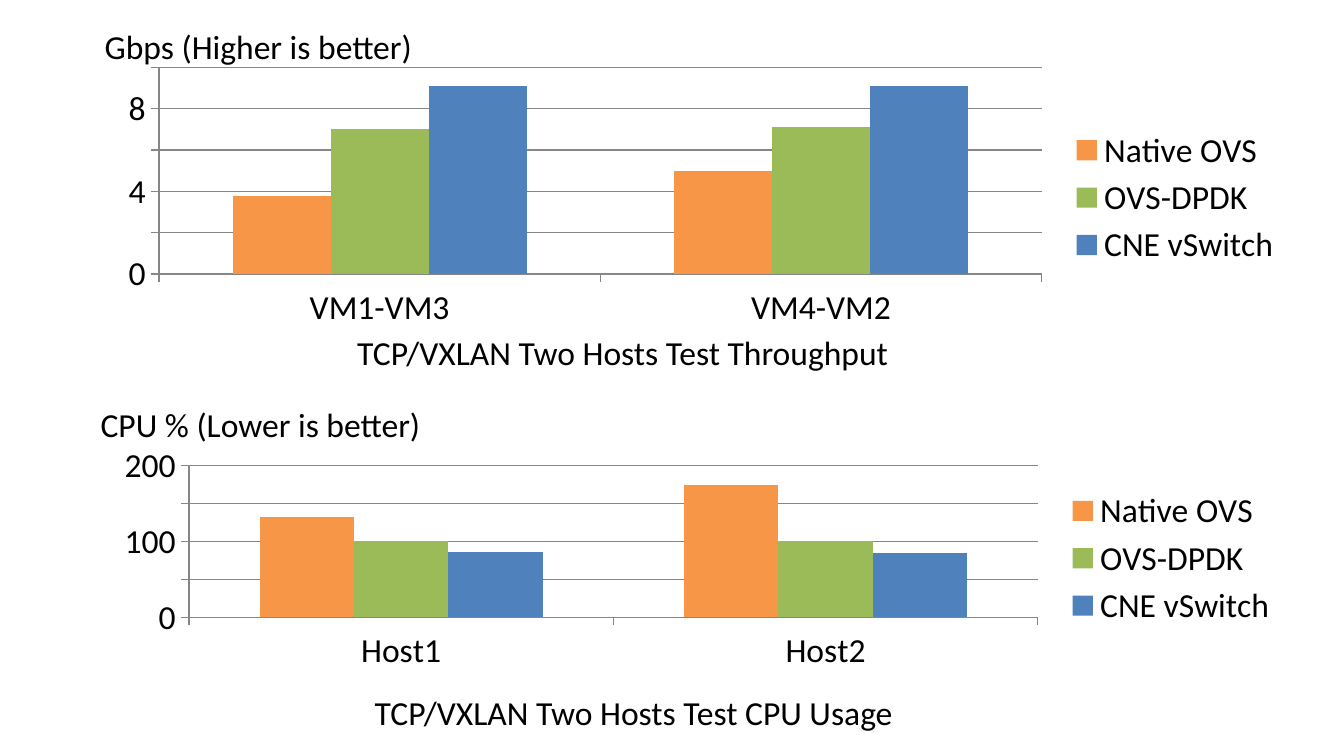
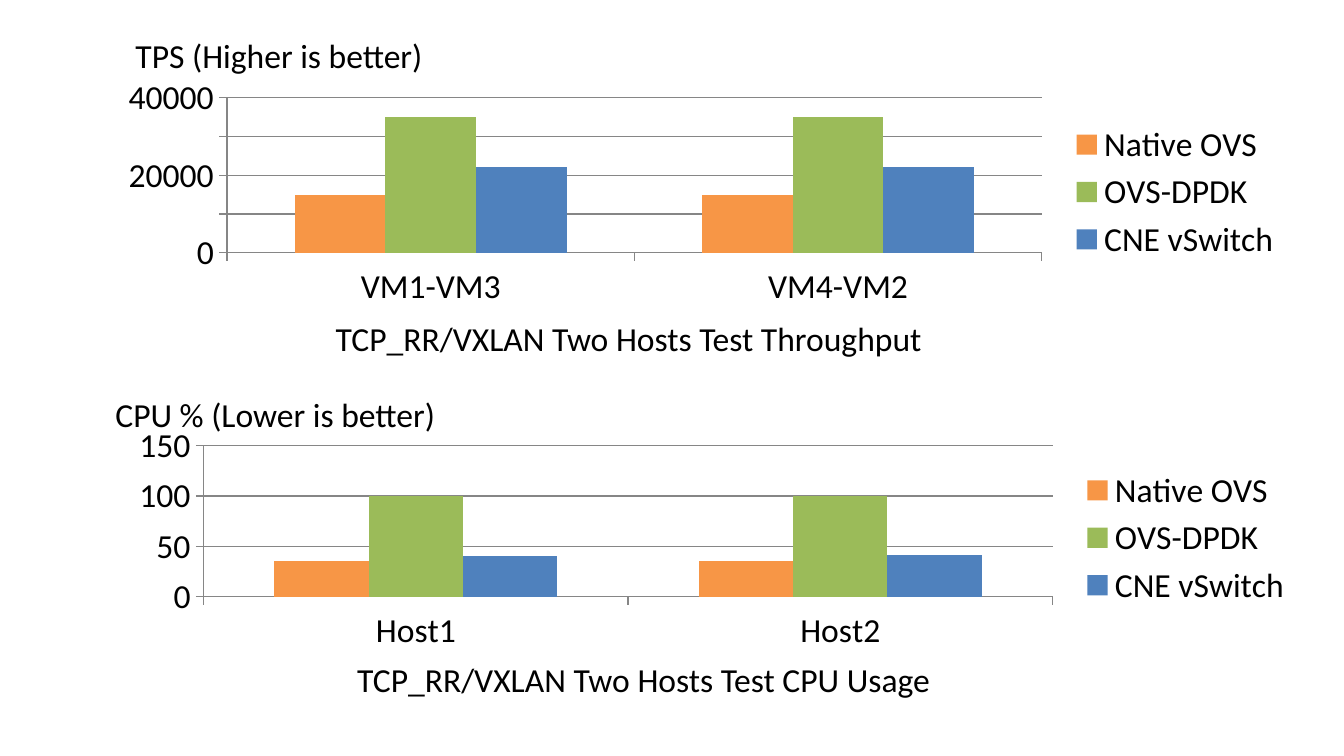
from dataclasses import dataclass

from lxml import etree
from pptx import Presentation
from pptx.chart.data import CategoryChartData
from pptx.dml.color import RGBColor
from pptx.enum.chart import XL_CHART_TYPE as ChartType
from pptx.enum.chart import XL_LEGEND_POSITION as LegendPosition
from pptx.enum.chart import XL_TICK_MARK as TickMark
from pptx.enum.text import MSO_AUTO_SIZE as AutoSize
from pptx.util import Inches, Pt

SLIDE_WIDTH, SLIDE_HEIGHT = Inches(10), Inches(5.625)
COLUMN, ROW = SLIDE_WIDTH / 100, SLIDE_HEIGHT / 100
FONT, FONT_SIZE = "Calibri", Pt(18)
COLORS = {
    "text": "000000",
    "axis": "868686",
    "background": "FFFFFF",
    "Native OVS": "F79646",
    "OVS-DPDK": "9BBB59",
    "CNE vSwitch": "4F81BD",
}
SWITCHES = ("Native OVS", "OVS-DPDK", "CNE vSwitch")
VM_PAIRS = ("VM1-VM3", "VM4-VM2")
HOSTS = ("Host1", "Host2")
CHART_COLUMNS = 88.6
LABEL_ROWS = 7.1
UNIT_SHIFT = -2.7


@dataclass
class Panel:
    """A chart with its unit above and caption below, in grid columns and rows.

    unit_rise is measured up from the chart's top; caption_shift is the
    caption's offset from the chart's bottom left corner.
    """
    box: tuple
    unit: str
    unit_columns: float
    unit_indent: float
    unit_rise: float
    caption: str
    caption_columns: float
    caption_shift: tuple
    categories: tuple
    values: tuple
    maximum: float
    step: float


SLIDES = (
    (
        Panel((7.8, 8.2, 35.9), "Gbps (Higher is better)", 26.9, 1.7, 5.7,
              "TCP/VXLAN Two Hosts Test Throughput", 42.6, (17.8, -1.1),
              VM_PAIRS, ((3.8, 5), (7, 7.1), (9.1, 9.1)), 10, 2),
        Panel((7.5, 58.3, 31.1), "CPU % (Lower is better)", 27.8, 1.7, 5.7,
              "TCP/VXLAN Two Hosts Test CPU Usage", 41.6, (19.4, 1.2),
              HOSTS, ((132, 175), (100, 100), (86, 85)), 200, 50),
    ),
    (
        Panel((7.8, 9.6, 31.6), "TPS (Higher is better)", 27.6, 4, 5.9,
              "TCP_RR/VXLAN Two Hosts Test Throughput", 46.6, (16.2, 0),
              VM_PAIRS,
              ((15000, 15000), (35000, 35000), (22000, 22000)), 40000, 10000),
        Panel((8.6, 55.6, 31.1), "CPU % (Lower is better)", 27.8, 1.7, 4.4,
              "TCP_RR/VXLAN Two Hosts Test CPU Usage", 45.6, (17, -0.4),
              HOSTS, ((35, 35), (100, 100), (40, 41)), 150, 50),
    ),
)


def color(name):
    return RGBColor.from_string(COLORS[name])


def grid_box(left, top, columns, rows):
    """Turn grid columns and rows into slide lengths."""
    return (round(left * COLUMN), round(top * ROW),
            round(columns * COLUMN), round(rows * ROW))


def style_font(font):
    font.name = FONT
    font.size = FONT_SIZE
    font.bold = False
    font.color.rgb = color("text")


def style_line(line):
    line.color.rgb = color("axis")
    line.width = Pt(0.75)


def add_label(slide, text, left, top, columns, indent=0):
    shape = slide.shapes.add_textbox(*grid_box(left, top, columns, LABEL_ROWS))
    frame = shape.text_frame
    frame.word_wrap = False
    frame.auto_size = AutoSize.SHAPE_TO_FIT_TEXT
    paragraph = frame.paragraphs[0]
    if indent:
        properties = paragraph._p.get_or_add_pPr()
        properties.set("marL", str(round(indent * COLUMN)))
        properties.set("indent", "0")
    run = paragraph.add_run()
    run.text = text
    style_font(run.font)


def add_column_chart(slide, panel):
    data = CategoryChartData()
    data.categories = panel.categories
    for name, values in zip(SWITCHES, panel.values):
        data.add_series(name, values)
    left, top, rows = panel.box
    chart = slide.shapes.add_chart(
        ChartType.COLUMN_CLUSTERED,
        *grid_box(left, top, CHART_COLUMNS, rows), data).chart
    style_font(chart.font)
    chart.has_title = False
    chart.has_legend = True
    chart.legend.position = LegendPosition.RIGHT
    chart.legend.include_in_layout = False

    plot = chart.plots[0]
    plot.gap_width = 150
    plot.overlap = 0
    plot.vary_by_categories = False
    for series in plot.series:
        series.format.fill.solid()
        series.format.fill.fore_color.rgb = color(series.name)
        series.invert_if_negative = False

    for axis in (chart.category_axis, chart.value_axis):
        axis.major_tick_mark = TickMark.OUTSIDE
        axis.minor_tick_mark = TickMark.NONE
        style_line(axis.format.line)
    value_axis = chart.value_axis
    value_axis.minimum_scale = 0
    value_axis.maximum_scale = panel.maximum
    value_axis.major_unit = panel.step
    value_axis.has_major_gridlines = True
    style_line(value_axis.major_gridlines.format.line)


def add_panel(slide, panel):
    left, top, rows = panel.box
    shift_x, shift_y = panel.caption_shift
    add_column_chart(slide, panel)
    add_label(slide, panel.unit, left + UNIT_SHIFT, top - panel.unit_rise,
              panel.unit_columns, panel.unit_indent)
    add_label(slide, panel.caption, left + shift_x, top + rows + shift_y,
              panel.caption_columns)


def main():
    presentation = Presentation()
    presentation.slide_width = SLIDE_WIDTH
    presentation.slide_height = SLIDE_HEIGHT
    background = presentation.slide_master.background.fill
    background.solid()
    background.fore_color.rgb = color("background")
    blank_layout = presentation.slide_layouts[6]
    for panels in SLIDES:
        slide = presentation.slides.add_slide(blank_layout)
        for panel in panels:
            add_panel(slide, panel)
    presentation.save("out.pptx")


if __name__ == "__main__":
    main()
